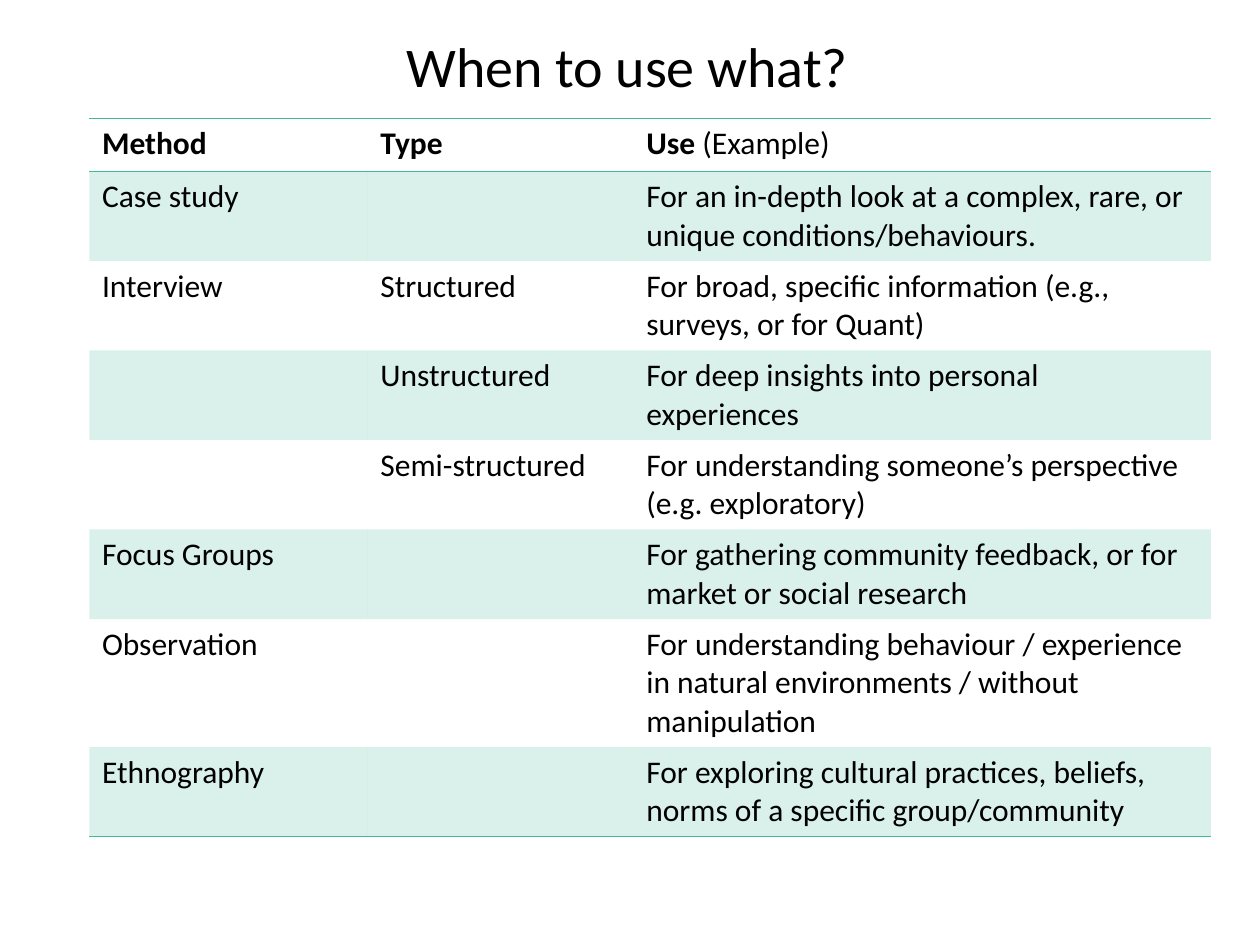
from lxml.etree import SubElement
from pptx import Presentation
from pptx.dml.color import RGBColor
from pptx.enum.text import MSO_ANCHOR, PP_ALIGN
from pptx.oxml.ns import qn
from pptx.util import Inches, Pt

# Content
TITLE = "When to use what?"
HEADER = ["Method", "Type", "Use "]
HEADER_NOTE = "(Example)"
METHODS = [
    ("Case study", "", "For an in-depth look at a complex, rare, or unique conditions/behaviours."),
    ("Interview", "Structured", "For broad, specific information (e.g., surveys, or for Quant)"),
    ("", "Unstructured", "For deep insights into personal experiences"),
    ("", "Semi-structured", "For understanding someone’s perspective (e.g. exploratory)"),
    ("Focus Groups", "", "For gathering community feedback, or for market or social research"),
    ("Observation", "", "For understanding behaviour / experience in natural environments / without manipulation"),
    ("Ethnography", "", "For exploring cultural practices, beliefs, norms of a specific group/community"),
]
COLORS = {"text": "000000", "accent": "42BA97"}
COLUMN_WIDTHS = [2.21, 2.11, 4.58]
ROW_HEIGHT = 0.42
BAND_ALPHA = 20
NO_STYLE = "{2D5ABB26-0587-4C30-8999-92F81FD0307C}"


def add_text(paragraph, text, size=18, bold=False):
    run = paragraph.add_run()
    run.text = text
    run.font.name = "Calibri"
    run.font.size = Pt(size)
    run.font.bold = bold
    run.font.color.rgb = RGBColor.from_string(COLORS["text"])


def add_rule(cell, side):
    """Draw a cell border; side is lnT or lnB."""
    line = SubElement(cell._tc.get_or_add_tcPr(), qn(f"a:{side}"), w=str(Pt(1)))
    fill = SubElement(line, qn("a:solidFill"))
    SubElement(fill, qn("a:srgbClr"), val=COLORS["accent"])


def shade(cell):
    cell.fill.solid()
    cell.fill.fore_color.rgb = RGBColor.from_string(COLORS["accent"])
    color = cell._tc.tcPr.find(".//" + qn("a:solidFill") + "[last()]/" + qn("a:srgbClr")) \
        if cell._tc.tcPr.find(qn("a:solidFill")) is None \
        else cell._tc.tcPr.find(qn("a:solidFill")).find(qn("a:srgbClr"))
    SubElement(color, qn("a:alpha"), val=str(BAND_ALPHA * 1000))


deck = Presentation()
deck.slide_width, deck.slide_height = Inches(10), Inches(7.5)
slide = deck.slides.add_slide(deck.slide_layouts[5])

# Title
title = slide.shapes.title
title.left, title.top = Inches(0.71), Inches(0.26)
title.width, title.height = Inches(8.54), Inches(0.91)
frame = title.text_frame
frame.margin_left = frame.margin_right = 0
frame.vertical_anchor = MSO_ANCHOR.TOP
heading = frame.paragraphs[0]
heading.alignment = PP_ALIGN.CENTER
heading.line_spacing = 0.9
add_text(heading, TITLE, size=32)

# Table of methods
rows = [HEADER, *METHODS]
table_frame = slide.shapes.add_table(
    len(rows), len(HEADER), Inches(0.71), Inches(0.94),
    Inches(sum(COLUMN_WIDTHS)), Inches(ROW_HEIGHT * len(rows)))
table = table_frame.table
table.first_row = table.horz_banding = False
table._tbl.tblPr.find(qn("a:tableStyleId")).text = NO_STYLE
for column, width in zip(table.columns, COLUMN_WIDTHS):
    column.width = Inches(width)

for r, row in enumerate(rows):
    table.rows[r].height = Inches(ROW_HEIGHT)
    for c, text in enumerate(row):
        cell = table.cell(r, c)
        if text:
            add_text(cell.text_frame.paragraphs[0], text, bold=r == 0)
        # Rules around the header and under the last row
        if r == 0:
            add_rule(cell, "lnT")
        if r in (0, len(rows) - 1):
            add_rule(cell, "lnB")
        # Every other row is tinted
        if r % 2:
            shade(cell)
        else:
            cell.fill.background()
add_text(table.cell(0, 2).text_frame.paragraphs[0], HEADER_NOTE)

deck.save("out.pptx")
